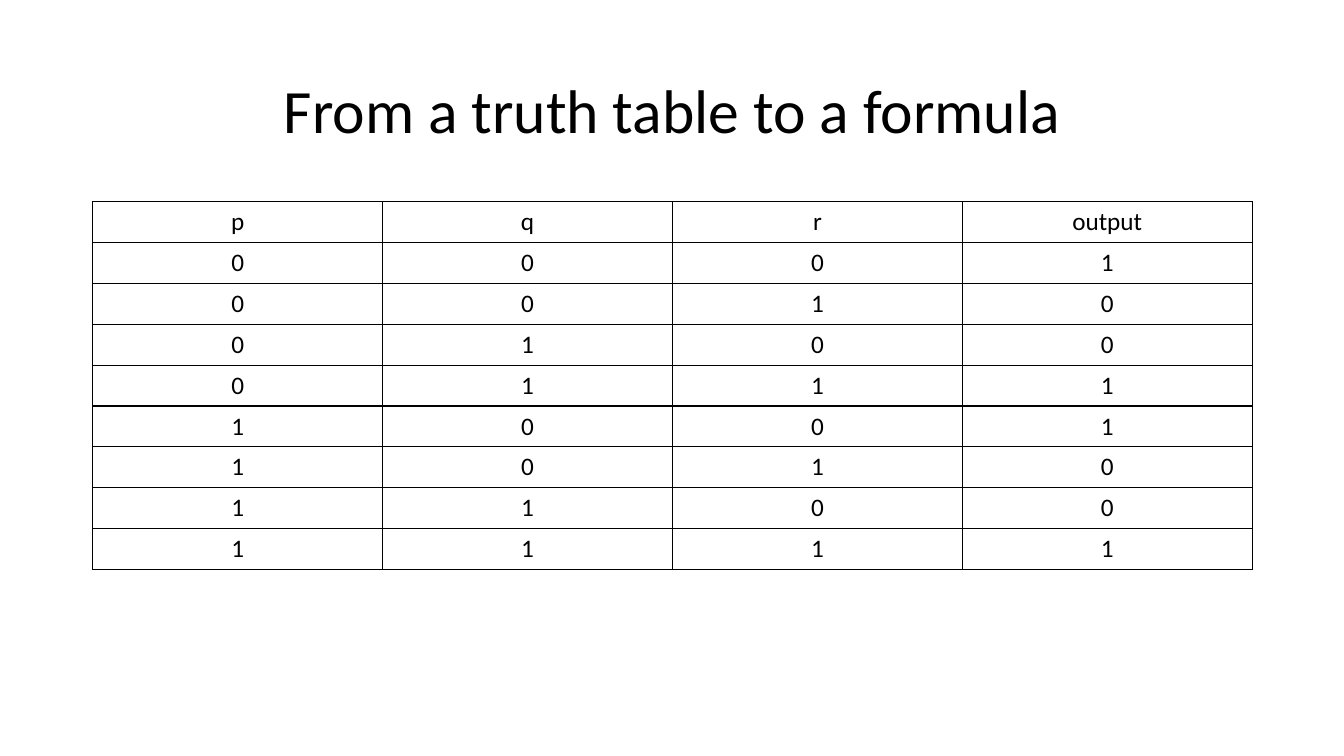
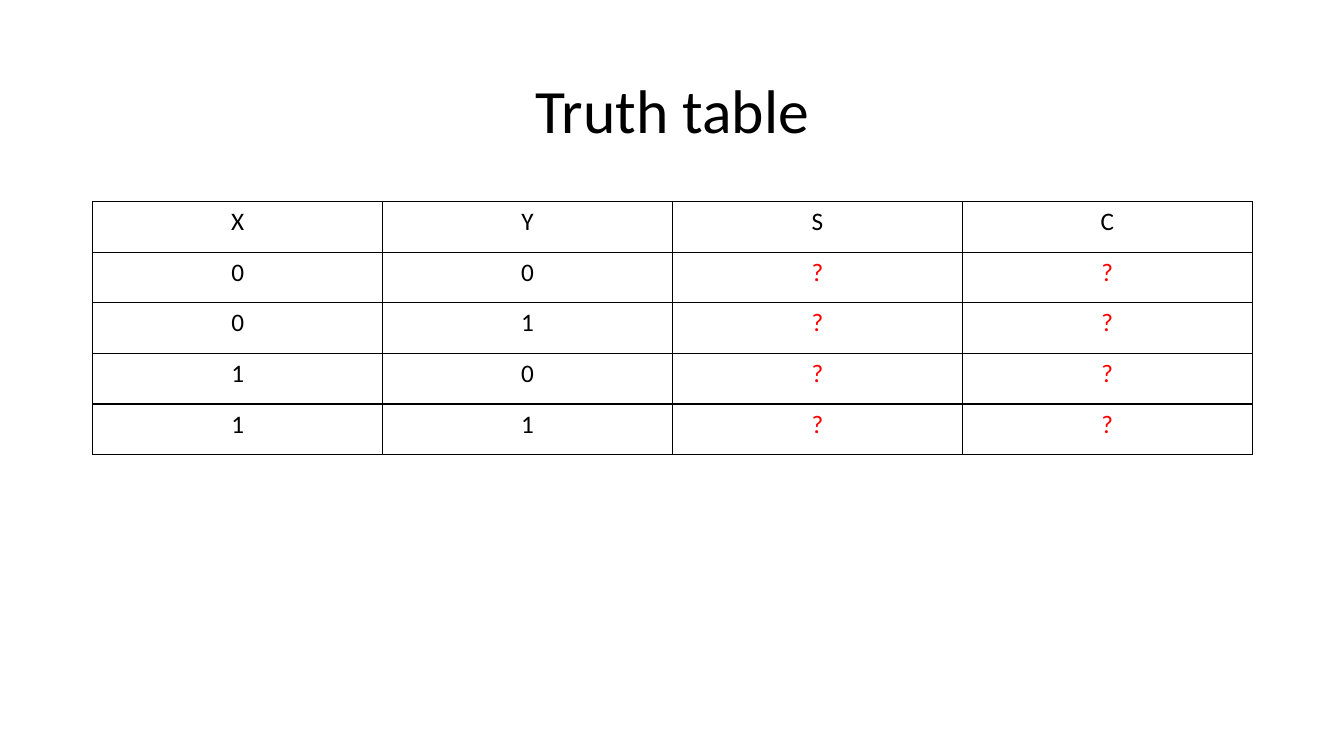
from itertools import product

from lxml import etree
from pptx import Presentation
from pptx import util as u
from pptx.dml.color import RGBColor
from pptx.enum import text
from pptx.oxml import ns

FONT = "Calibri"
BLACK, RED = "000000", "FF0000"
LEFT, WIDTH = 0.92, 11.5
TITLE_BOX = (LEFT, 0.4, WIDTH, 1.45)
TABLE_TOP = 2


def style(paragraph, size, colour):
    """Centre a paragraph and set its font."""
    paragraph.alignment = text.PP_ALIGN.CENTER
    paragraph.font.name = FONT
    paragraph.font.size = u.Pt(size)
    paragraph.font.color.rgb = RGBColor.from_string(colour)


def add_title(slide, box, wording):
    """Place the slide title, centred in its box."""
    frame = slide.shapes.add_textbox(*map(u.Inches, box)).text_frame
    frame.word_wrap = True
    frame.vertical_anchor = text.MSO_ANCHOR.MIDDLE
    heading = frame.paragraphs[0]
    heading.text = wording
    heading.line_spacing = 0.9
    style(heading, 44, BLACK)


def add_borders(cell, colour, points):
    """Draw a solid line on all four sides of a cell."""
    properties = cell._tc.get_or_add_tcPr()
    for side in ("a:lnL", "a:lnR", "a:lnT", "a:lnB"):
        line = etree.SubElement(properties, ns.qn(side), w=str(u.Pt(points)))
        fill = etree.SubElement(line, ns.qn("a:solidFill"))
        etree.SubElement(fill, ns.qn("a:srgbClr"), val=colour)


def add_truth_table(slide, box, rows):
    """Fill the box with an evenly divided table, unknown values in red."""
    left, top, width, height = map(u.Inches, box)
    table = slide.shapes.add_table(len(rows), len(rows[0]), left, top, width, height).table
    table.first_row = table.horz_banding = False
    for row, values in zip(table.rows, rows):
        row.height = height // len(rows)
        for cell, value in zip(row.cells, values):
            add_borders(cell, BLACK, 1)
            cell.fill.background()
            cell.text = value
            style(cell.text_frame.paragraphs[0], 18, RED if value == "?" else BLACK)


def add_table_slide(deck, title, rows, height):
    """Add a slide with a title and a truth table of the given height."""
    slide = deck.slides.add_slide(deck.slide_layouts[6])
    add_title(slide, TITLE_BOX, title)
    add_truth_table(slide, (LEFT, TABLE_TOP, WIDTH, height), rows)


def main():
    """Build and save the deck."""
    deck = Presentation()
    deck.slide_width, deck.slide_height = u.Inches(13.33), u.Inches(7.5)

    outputs = "10011001"
    formula_rows = [("p", "q", "r", "output")]
    formula_rows += [(*inputs, output) for inputs, output in zip(product("01", repeat=3), outputs)]
    add_table_slide(deck, "From a truth table to a formula", formula_rows, 3.65)

    adder_rows = [("X", "Y", "S", "C")]
    adder_rows += [(*inputs, "?", "?") for inputs in product("01", repeat=2)]
    add_table_slide(deck, "Truth table", adder_rows, 2.51)

    deck.save("out.pptx")


if __name__ == "__main__":
    main()
